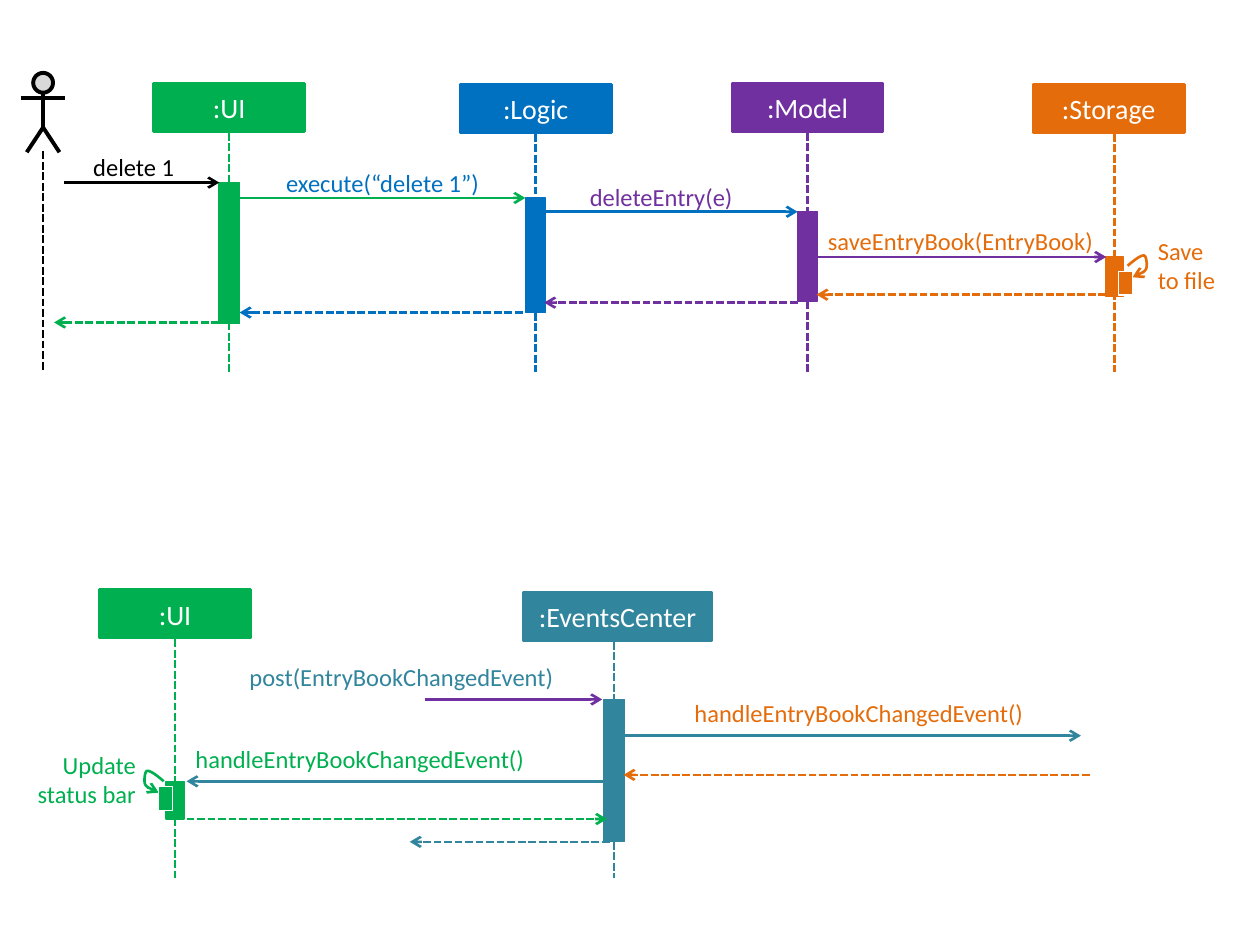
"""Draw the sequence diagrams for deleting an entry and announcing the change."""
from lxml.etree import SubElement
from pptx import Presentation
from pptx.dml.color import RGBColor
from pptx.enum.dml import MSO_LINE
from pptx.enum.shapes import MSO_CONNECTOR, MSO_SHAPE
from pptx.enum.text import MSO_ANCHOR, PP_ALIGN
from pptx.oxml.ns import qn
from pptx.util import Cm, Pt

GREEN = RGBColor(0x00, 0xB0, 0x50)
BLUE = RGBColor(0x00, 0x70, 0xC0)
PURPLE = RGBColor(0x70, 0x30, 0xA0)
ORANGE = RGBColor(0xE4, 0x6C, 0x0A)
TEAL = RGBColor(0x31, 0x85, 0x9C)
BLACK = RGBColor(0x00, 0x00, 0x00)
GRAY = RGBColor(0xD9, 0xD9, 0xD9)
WHITE = RGBColor(0xFF, 0xFF, 0xFF)

LOOP = [(0, 0), (-0.13, -0.05), (-0.25, -0.1), (-0.28, -0.18),
        (-0.3, -0.26), (-0.28, -0.44), (-0.23, -0.44),
        (-0.15, -0.44), (-0.02, -0.33), (0.1, -0.23)]


class Diagram:
    font = "Calibri"
    head_size, label_size = Pt(16), Pt(14)

    def __init__(self, slide):
        self.slide = slide
        self.shapes = slide.shapes

    def group(self):
        self.shapes = self.slide.shapes.add_group_shape().shapes

    def ungroup(self):
        self.shapes = self.slide.shapes

    def set_text(self, tf, text, size, color, align):
        tf.text = text
        p = tf.paragraphs[0]
        p.alignment = align
        p.font.name, p.font.size = self.font, size
        p.font.color.rgb = color

    def stroke(self, sp, color, weight, end=None):
        sp.line.color.rgb = color
        sp.line.width = Pt(weight)
        if end:
            SubElement(sp.line._get_or_add_ln(), qn("a:" + end), type="arrow")

    def box(self, x, y, w, h, fill, line=None, weight=0.75, kind=MSO_SHAPE.RECTANGLE):
        sp = self.shapes.add_shape(kind, Cm(x), Cm(y), Cm(w), Cm(h))
        sp.shadow.inherit = False
        sp.fill.solid()
        sp.fill.fore_color.rgb = fill
        self.stroke(sp, line or fill, weight)
        return sp

    def line(self, x1, y1, x2, y2, color, dashed=False, weight=1.5, end=None):
        c = self.shapes.add_connector(MSO_CONNECTOR.STRAIGHT, Cm(x1), Cm(y1), Cm(x2), Cm(y2))
        if dashed:
            c.line.dash_style = MSO_LINE.SQUARE_DOT
        self.stroke(c, color, weight, end)
        SubElement(c._element.spPr, qn("a:effectLst"))

    def outline(self, points, color, weight, end=None):
        start, *rest = [(Cm(x), Cm(y)) for x, y in points]
        builder = self.shapes.build_freeform(*start)
        builder.add_line_segments(rest, close=False)
        sp = builder.convert_to_shape()
        sp.shadow.inherit = False
        sp.fill.background()
        self.stroke(sp, color, weight, end)

    def label(self, text, x, y, w, color, h=0.61, align=PP_ALIGN.LEFT):
        tf = self.shapes.add_textbox(Cm(x), Cm(y), Cm(w), Cm(h)).text_frame
        tf.word_wrap = True
        tf.margin_left = tf.margin_right = tf.margin_top = tf.margin_bottom = 0
        self.set_text(tf, text, self.label_size, color, align)

    def participant(self, name, head_x, x, top, foot, color, bar, bar_top, bar_end, width=3.05):
        sp = self.box(head_x - width / 2, top, width, 0.97, color, weight=1.5)
        sp.text_frame.vertical_anchor = MSO_ANCHOR.MIDDLE
        self.set_text(sp.text_frame, name, self.head_size, WHITE, PP_ALIGN.CENTER)
        self.line(x, top + 1, x, foot, color, dashed=True)
        self.box(x - bar / 2, bar_top, bar, bar_end - bar_top, color)

    def message(self, x1, x2, y, color, dashed=False):
        self.line(x1, y, x2, y, color, dashed, end="tailEnd")

    def self_call(self, x, y, color, side):
        """Loop an arrow back to (x, y), bulging left for side 1 and right for -1."""
        points = [(x + side * dx, y + dy) for dx, dy in LOOP]
        curve = points[:1]
        for i in range(0, len(points) - 1, 3):
            a, b, c, d = points[i:i + 4]
            for t in (k / 10 for k in range(1, 11)):
                u = 1 - t
                curve.append(tuple(u**3 * p + 3 * u * u * t * q + 3 * u * t * t * r + t**3 * s
                                   for p, q, r, s in zip(a, b, c, d)))
        self.group()
        self.outline(curve, color, 1.5, "headEnd")
        self.box(x if side > 0 else x - 0.28, y - 0.12, 0.28, 0.48, color, WHITE)
        self.ungroup()

    def actor(self, x, top, foot):
        self.group()
        self.box(x - 0.2, top, 0.4, 0.4, GRAY, BLACK, 2.25, MSO_SHAPE.FLOWCHART_CONNECTOR)
        self.line(x, top + 0.4, x, top + 1.12, BLACK, weight=2.25)
        self.outline([(x - 0.33, top + 1.6), (x, top + 1.1), (x + 0.33, top + 1.6)], BLACK, 2.25)
        self.line(x - 0.45, top + 0.51, x + 0.45, top + 0.51, BLACK, weight=2.25)
        self.ungroup()
        self.line(x, top + 1.58, x, foot, BLACK, dashed=True)


prs = Presentation()
prs.slide_width, prs.slide_height = Cm(25.4), Cm(19.05)
d = Diagram(prs.slides.add_slide(prs.slide_layouts[6]))

d.actor(0.87, 1.47, 7.49)
for participant in [
    (":UI", 4.62, 4.62, 1.68, 7.49, GREEN, 0.43, 3.68, 6.53),
    (":Logic", 10.8, 10.8, 1.7, 7.49, BLUE, 0.41, 3.99, 6.3),
    (":Model", 16.28, 16.28, 1.68, 7.49, PURPLE, 0.41, 4.27, 6.07),
    (":Storage", 22.35, 22.47, 1.7, 7.49, ORANGE, 0.36, 5.18, 5.97),
    (":UI", 3.53, 3.53, 11.89, 17.7, GREEN, 0.36, 15.75, 16.51),
    (":EventsCenter", 12.45, 12.38, 11.94, 17.7, TEAL, 0.41, 14.1, 16.97, 3.81),
]:
    d.participant(*participant)

for call in [
    (1.3, 4.42, 3.68, BLACK), (4.83, 10.59, 3.99, GREEN),
    (10.97, 16.08, 4.27, BLUE), (16.48, 22.3, 5.18, PURPLE),
    (8.56, 12.14, 14.1, PURPLE), (12.57, 21.79, 14.83, TEAL),
    (12.24, 3.76, 15.75, TEAL),
]:
    d.message(*call)

for reply in [
    (22.3, 16.46, 5.94, ORANGE), (16.08, 10.97, 6.1, PURPLE),
    (10.54, 4.83, 6.3, BLUE), (4.42, 1.09, 6.5, GREEN),
    (21.97, 12.57, 15.62, ORANGE), (3.76, 12.24, 16.51, GREEN),
    (12.29, 8.26, 16.97, TEAL),
]:
    d.message(*reply, dashed=True)

d.self_call(22.83, 5.59, ORANGE, -1)
d.self_call(3.2, 15.98, GREEN, 1)

for label in [
    ("delete 1", 1.88, 3.07, 2.39, BLACK),
    ("execute(“delete 1”)", 5.77, 3.38, 3.96, BLUE),
    ("deleteEntry(e)", 11.89, 3.66, 3.96, PURPLE),
    ("saveEntryBook(EntryBook)", 16.69, 4.55, 5.59, ORANGE),
    ("Save\vto file", 23.34, 4.75, 1.5, ORANGE, 1.19),
    ("post(EntryBookChangedEvent)", 5.03, 13.34, 7.54, TEAL),
    ("handleEntryBookChangedEvent()", 14, 14.07, 7.39, ORANGE),
    ("handleEntryBookChangedEvent()", 3.94, 14.99, 7.39, GREEN),
    ("Update status bar", 0.53, 15.11, 2.21, GREEN, 1.19, PP_ALIGN.RIGHT),
]:
    d.label(*label)

prs.save("out.pptx")
